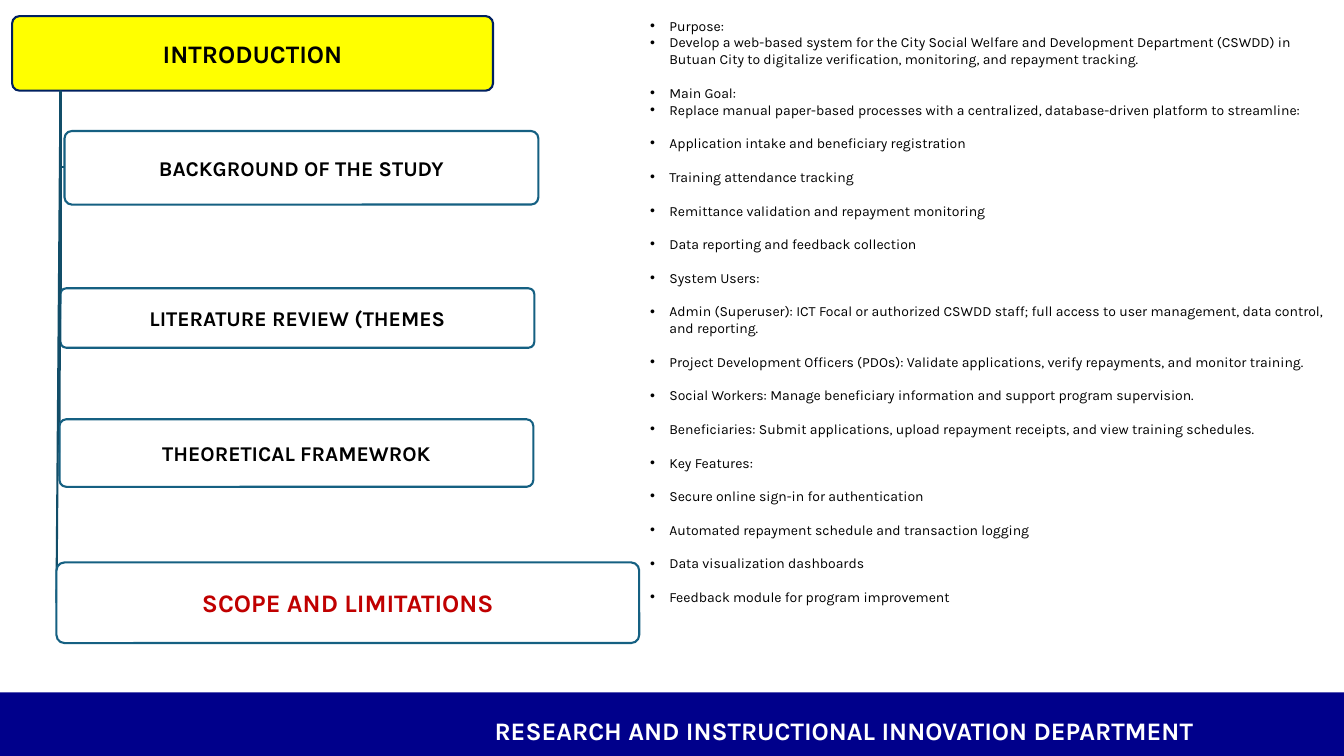
from lxml import etree
from pptx import Presentation
from pptx import util as u
from pptx.dml.color import RGBColor
from pptx.enum import shapes, text
from pptx.oxml.ns import qn

FONT = "Karla"
HEAD = ("INTRODUCTION", (0.12, 0.16, 4.77, 0.74), 18, "000000")
ROOT = (0.6, 0.9)
TOPICS = [
    ("BACKGROUND OF THE STUDY", (0.64, 1.3, 4.7, 0.73), 15, "000000",
     [(0.6, 1.66), (0.64, 1.66)]),
    ("LITERATURE REVIEW (THEMES", (0.6, 2.86, 4.7, 0.59), 15, "000000",
     [(0.6, 3.16)]),
    ("THEORETICAL FRAMEWROK", (0.59, 4.16, 4.7, 0.67), 15, "000000",
     [(0.59, 4.49)]),
    ("SCOPE AND LIMITATIONS", (0.56, 5.58, 5.78, 0.8), 18, "C00000",
     [(0.56, 5.98)]),
]
NOTES = [
    ["Purpose:",
     "Develop a web-based system for the City Social Welfare and Development Department (CSWDD) in "
     "Butuan City to digitalize verification, monitoring, and repayment tracking."],
    ["Main Goal:",
     "Replace manual paper-based processes with a centralized, database-driven platform to streamline:"],
    ["Application intake and beneficiary registration"],
    ["Training attendance tracking"],
    ["Remittance validation and repayment monitoring"],
    ["Data reporting and feedback collection"],
    ["System Users:"],
    ["Admin (Superuser): ICT Focal or authorized CSWDD staff; full access to user management, "
     "data control, and reporting."],
    ["Project Development Officers (PDOs): Validate applications, verify repayments, and monitor training."],
    ["Social Workers: Manage beneficiary information and support program supervision."],
    ["Beneficiaries: Submit applications, upload repayment receipts, and view training schedules."],
    ["Key Features:"],
    ["Secure online sign-in for authentication"],
    ["Automated repayment schedule and transaction logging"],
    ["Data visualization dashboards"],
    ["Feedback module for program improvement"],
]
FOOTER = "RESEARCH AND INSTRUCTIONAL INNOVATION DEPARTMENT"

deck = Presentation()
deck.slide_width, deck.slide_height = u.Inches(13.33), u.Inches(7.5)
slide = deck.slides.add_slide(deck.slide_layouts[6])


def paint(part, color):
    part.solid()
    part.fore_color.rgb = RGBColor.from_string(color)


def place(box):
    return [u.Inches(v) for v in box]


def write(para, words, size, color, bold=False):
    run = para.add_run()
    run.text = words
    run.font.name, run.font.size, run.font.bold = FONT, u.Pt(size), bold
    paint(run.font.fill, color)


def card(words, box, size, color, fill, edge, alpha=None):
    shape = slide.shapes.add_shape(shapes.MSO_SHAPE.ROUNDED_RECTANGLE, *place(box))
    shape.adjustments[0] = 0.1
    shape.shadow.inherit = False
    paint(shape.fill, fill)
    if alpha:
        tint = shape._element.spPr.find(qn("a:solidFill"))[0]
        etree.SubElement(tint, qn("a:alpha")).set("val", str(alpha * 1000))
    paint(shape.line.fill, edge)
    shape.line.width = u.Pt(1.5)
    frame = shape.text_frame
    frame.word_wrap = True
    frame.vertical_anchor = text.MSO_ANCHOR.MIDDLE
    frame.margin_left = frame.margin_right = u.Inches(0.04)
    frame.margin_top = frame.margin_bottom = u.Inches(0.03)
    para = frame.paragraphs[0]
    para.alignment = text.PP_ALIGN.CENTER
    write(para, words, size, color, True)


def branch(points):
    for start, end in zip(points, points[1:]):
        line = slide.shapes.add_connector(
            shapes.MSO_CONNECTOR.STRAIGHT, *place(start + end))
        paint(line.line.fill, "114D68")
        line.line.width = u.Pt(1.5)
        etree.SubElement(line._element.spPr, qn("a:effectLst"))


def label(box):
    frame = slide.shapes.add_textbox(*place(box)).text_frame
    frame.word_wrap = True
    return frame


def bullet(para):
    props = para._p.get_or_add_pPr()
    props.set("marL", str(u.Inches(0.19)))
    props.set("indent", str(-u.Inches(0.19)))
    etree.SubElement(props, qn("a:buFont")).set("typeface", "Arial")
    etree.SubElement(props, qn("a:buChar")).set("char", "•")


band = slide.shapes.add_shape(
    shapes.MSO_SHAPE.RECTANGLE, *place((0, 6.87, 13.33, 0.63)))
band.shadow.inherit = False
paint(band.fill, "00008B")
band.line.fill.background()

card(*HEAD, "FFFF00", "002060")
for words, box, size, color, stops in TOPICS:
    branch([ROOT] + stops)
    card(words, box, size, color, "FFFFFF", "156082", 90)

para = label((4.16, 6.91, 8.42, 0.51)).paragraphs[0]
para.alignment = text.PP_ALIGN.CENTER
para.line_spacing = u.Pt(31.8)
write(para, FOOTER, 18, "FFFFFF", True)

frame = label((6.35, 0.12, 6.99, 0.55))
for g, group in enumerate(NOTES):
    for n, words in enumerate(group):
        first = g == n == 0
        para = frame.paragraphs[0] if first else frame.add_paragraph()
        bullet(para)
        if g and n == 0:
            para.space_before = u.Pt(12)
        write(para, words, 10, "000000")

deck.save("out.pptx")
